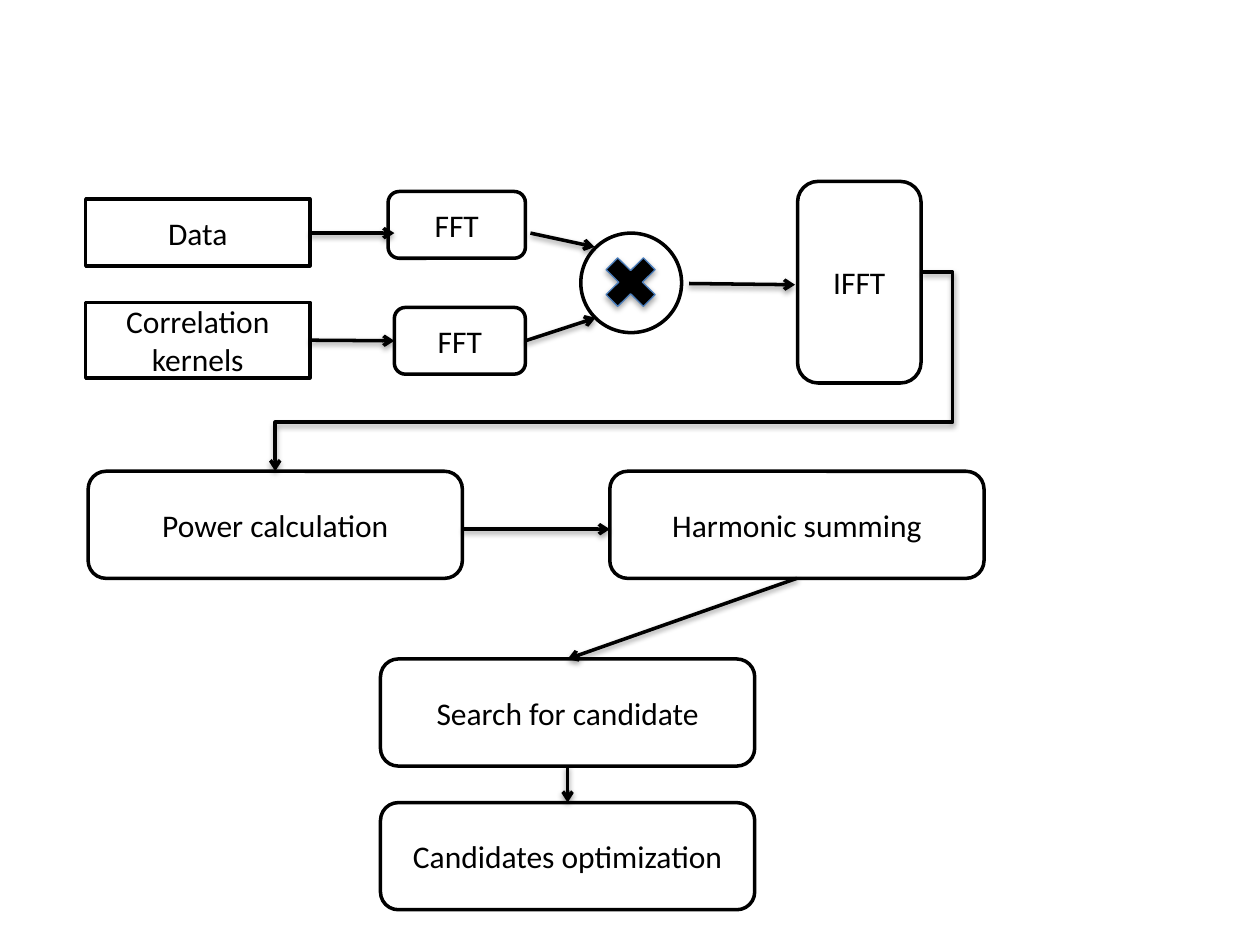
import dataclasses
import pptx
import pptx.dml.color
import pptx.enum.shapes
import pptx.enum.text
import pptx.oxml
import pptx.oxml.ns
import pptx.util

SHAPE = pptx.enum.shapes.MSO_SHAPE
CONNECTOR = pptx.enum.shapes.MSO_CONNECTOR
TOP, LEFT, BOTTOM, RIGHT = range(4)
OVAL_TOP_LEFT, OVAL_BOTTOM_LEFT = 1, 3


@dataclasses.dataclass(frozen=True)
class Theme:
    """Colours, type sizes and line widths of the slide."""
    ink: str = "000000"
    edge: str = "4B7EBC"
    font: str = "Calibri"
    size: float = 18
    stroke: float = 2
    hairline: float = 0.75


@dataclasses.dataclass(frozen=True)
class Area:
    """A region of the slide, measured in grid cells of a tenth of an inch."""
    left: float
    top: float

    def point(self, column, row):
        """Return the slide position of a grid point in this region."""
        cell = pptx.util.Inches(0.1)
        return round((self.left + column) * cell), round((self.top + row) * cell)


THEME = Theme()


def colour(value):
    """Return a colour from its hexadecimal value."""
    return pptx.dml.color.RGBColor.from_string(value)


def set_line(line, value, width):
    """Give a line its colour and width."""
    line.color.rgb = colour(value)
    line.width = pptx.util.Pt(width)


def add_shadow(item, opacity, distance):
    """Put a soft shadow below a shape or connector."""
    properties = item._element.spPr
    effects = properties.find(pptx.oxml.ns.qn("a:effectLst"))
    if effects is None:
        effects = pptx.oxml.parse_xml(f'<a:effectLst {pptx.oxml.ns.nsdecls("a")}/>')
        properties.append(effects)
    effects.append(pptx.oxml.parse_xml(
        f'<a:outerShdw {pptx.oxml.ns.nsdecls("a")} blurRad="40000" dist="{distance}" '
        f'dir="5400000" rotWithShape="0"><a:srgbClr val="{THEME.ink}">'
        f'<a:alpha val="{opacity}000"/></a:srgbClr></a:outerShdw>'))


def add_block(page, area, kind, column, row, width, height, text=""):
    """Add an outlined block with a centred label."""
    cell = pptx.util.Inches(0.1)
    box = page.shapes.add_shape(
        kind, *area.point(column, row), round(width * cell), round(height * cell))
    box.shadow.inherit = False
    box.fill.background()
    set_line(box.line, THEME.ink, THEME.stroke)
    if text:
        frame = box.text_frame
        frame.word_wrap = True
        frame.vertical_anchor = pptx.enum.text.MSO_ANCHOR.MIDDLE
        para = frame.paragraphs[0]
        para.text = text
        para.alignment = pptx.enum.text.PP_ALIGN.CENTER
        para.font.name = THEME.font
        para.font.size = pptx.util.Pt(THEME.size)
        para.font.color.rgb = colour(THEME.ink)
    return box


def add_arrow(page, start, end, kind=CONNECTOR.STRAIGHT):
    """Add an arrow between two slide positions."""
    arrow = page.shapes.add_connector(kind, *start, *end)
    set_line(arrow.line, THEME.ink, THEME.stroke)
    arrow.line._get_or_add_ln().append(pptx.oxml.parse_xml(
        f'<a:tailEnd {pptx.oxml.ns.nsdecls("a")} type="arrow"/>'))
    add_shadow(arrow, 38, 20000)
    return arrow


def join(page, source, source_site, target, target_site):
    """Add an arrow glued to the sites of two blocks."""
    arrow = add_arrow(page, (0, 0), (0, 0))
    arrow.begin_connect(source, source_site)
    arrow.end_connect(target, target_site)
    if target.auto_shape_type == SHAPE.OVAL:
        inset = round(target.width * (1 - 0.5 ** 0.5) / 2)
        arrow.end_x = target.left + inset
        arrow.end_y = (target.top + inset if target_site == OVAL_TOP_LEFT
                       else target.top + target.height - inset)


def add_return_path(page, start, end):
    """Add the four-part elbow arrow that leads back to the next row."""
    elbow = add_arrow(page, start, end, CONNECTOR.ELBOW)
    geometry = elbow._element.spPr.find(pptx.oxml.ns.qn("a:prstGeom"))
    geometry.set("prst", "bentConnector4")
    guides = geometry.find(pptx.oxml.ns.qn("a:avLst"))
    for name, value in (("adj1", -4900), ("adj2", 75400)):
        guides.append(pptx.oxml.parse_xml(
            f'<a:gd {pptx.oxml.ns.nsdecls("a")} name="{name}" fmla="val {value}"/>'))


def draw_transform(page, area):
    """Draw the inputs, their transforms, the product and the inverse transform."""
    add_block(page, area, SHAPE.RECTANGLE, 0, 1.4, 17.8, 5.3, "Data")
    kernels = add_block(page, area, SHAPE.RECTANGLE, 0, 9.6, 17.8, 6, "Correlation kernels")
    add_block(page, area, SHAPE.ROUNDED_RECTANGLE, 24, 0.8, 10.9, 5.3, "FFT")
    kernel_fft = add_block(page, area, SHAPE.ROUNDED_RECTANGLE, 24.5, 10, 10.4, 5.3, "FFT")
    product = add_block(page, area, SHAPE.OVAL, 39.3, 4.1, 8, 7.9)
    cross = add_block(page, area, SHAPE.MATH_MULTIPLY, 40.4, 5.2, 5.7, 5.6)
    cross.fill.solid()
    cross.fill.fore_color.rgb = colour(THEME.ink)
    set_line(cross.line, THEME.edge, THEME.hairline)
    add_shadow(cross, 35, 23000)
    add_block(page, area, SHAPE.ROUNDED_RECTANGLE, 56.5, 0, 9.8, 16, "IFFT")
    join(page, kernels, RIGHT, kernel_fft, LEFT)
    join(page, kernel_fft, RIGHT, product, OVAL_BOTTOM_LEFT)
    for start, end in (((17.8, 4.1), (24.5, 4.1)),
                       ((35.3, 4.1), (40.4, 5.2)),
                       ((47.9, 8.1), (56.3, 8.2))):
        add_arrow(page, area.point(*start), area.point(*end))
    return area.point(66.3, 7.2)


def draw_search(page, area):
    """Draw the steps from power calculation to candidate optimization."""
    steps = (("Power calculation", 0, 0), ("Harmonic summing", 41.4, 0),
             ("Search for candidate", 23.2, 14.9), ("Candidates optimization", 23.2, 26.3))
    power, summing, search, optimization = [
        add_block(page, area, SHAPE.ROUNDED_RECTANGLE, column, row, 29.7, 8.5, text)
        for text, column, row in steps]
    add_arrow(page, area.point(29.7, 4.6), area.point(41.4, 4.6))
    join(page, summing, BOTTOM, search, TOP)
    join(page, search, BOTTOM, optimization, TOP)
    return power.left + power.width // 2, power.top


def build():
    """Build and save the deck."""
    deck = pptx.Presentation()
    deck.slide_width = pptx.util.Inches(10)
    deck.slide_height = pptx.util.Inches(7.5)
    page = deck.slides.add_slide(deck.slide_layouts[6])
    start = draw_transform(page, Area(6.8, 14.4))
    end = draw_search(page, Area(7, 37.4))
    add_return_path(page, start, end)
    deck.save("out.pptx")


build()
